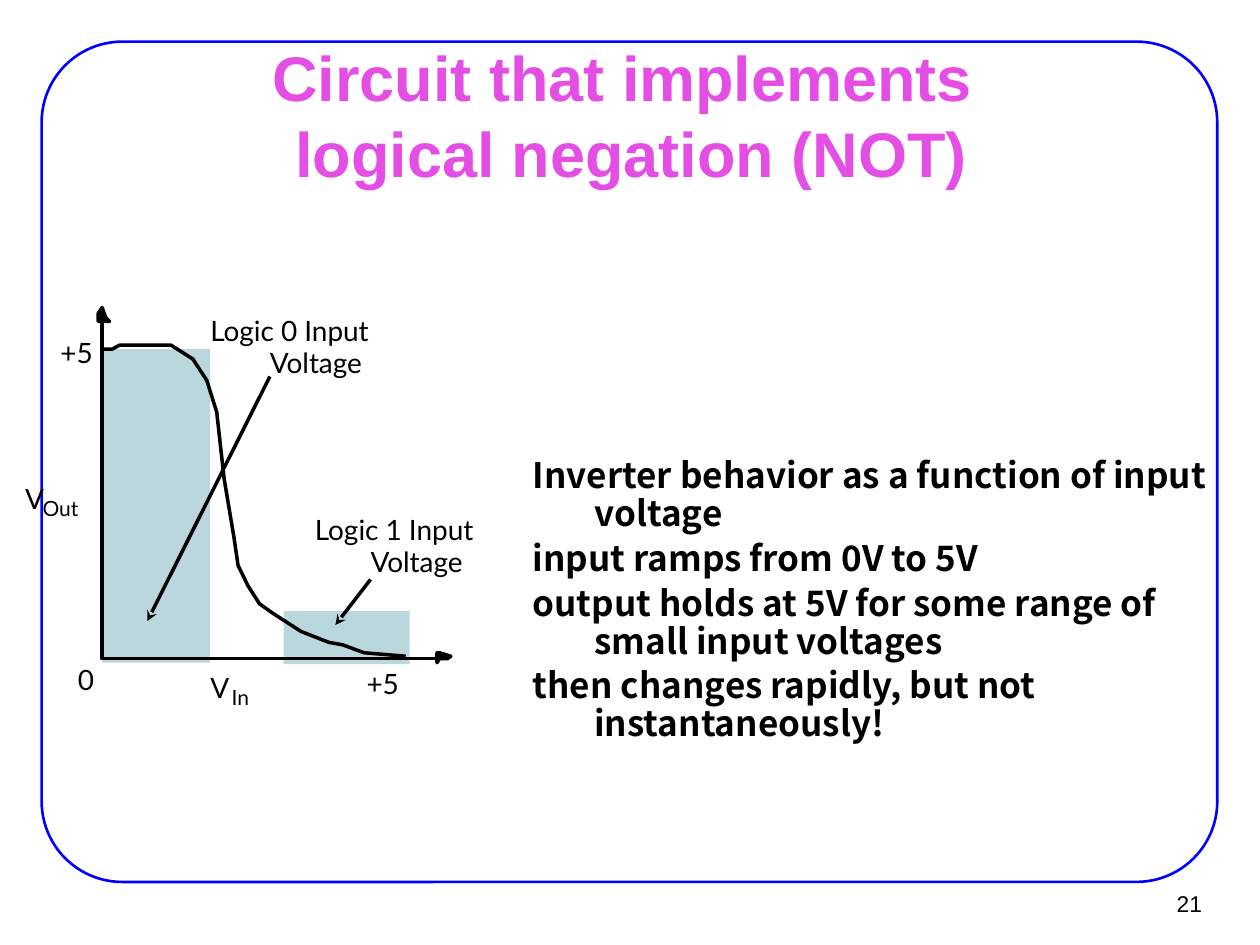
from lxml.etree import SubElement
from pptx import Presentation
from pptx.dml.color import RGBColor
from pptx.enum.shapes import MSO_CONNECTOR, MSO_SHAPE
from pptx.enum.text import MSO_ANCHOR, MSO_AUTO_SIZE, PP_ALIGN
from pptx.oxml.ns import qn
from pptx.util import Cm, Pt

BLACK, BLUE, PINK, TEAL = "000000", "0000FF", "E44EE4", "BAD7DE"
AXIS_LEFT, AXIS_BOTTOM = 2.06, 13.28

TITLE_LINES = ["Circuit that implements ", "logical negation (NOT)"]
BEHAVIOR = [
    "Inverter behavior as a function of input voltage",
    "input ramps from 0V to 5V",
    "output holds at 5V for some range of small input voltages",
    "then changes rapidly, but not instantaneously!",
]

# Lengths below are centimetres.
LOGIC_RANGES = [(5.72, 12.32, 2.54, 1.07), (AXIS_LEFT, 7.04, 2.18, 6.32)]
LABELS = [  # text, left, top, width, size in points
    ("V", 0.51, 9.7, 0.53, 16),
    ("Out", 0.86, 9.98, 0.81, 12),
    ("+5", 1.22, 6.76, 0.81, 16),
    ("0", 1.57, 13.36, 0.48, 16),
    ("+5", 7.39, 13.44, 0.81, 16),
    ("V", 4.24, 13.51, 0.53, 16),
    ("In", 4.67, 13.79, 0.48, 12),
    ("Logic 0 Input", 4.24, 6.32, 3.56, 16),
    ("Voltage", 5.44, 6.96, 2.06, 16),
    ("Logic 1 Input", 6.35, 10.34, 3.4, 16),
    ("Voltage", 7.47, 10.97, 2.06, 16),
]
POINTERS = [(5.44, 7.59, 2.97, 12.52), (7.47, 11.68, 6.76, 12.6)]
AXES = [(8.86, AXIS_BOTTOM), (AXIS_LEFT, AXIS_BOTTOM), (AXIS_LEFT, 6.32)]
TRANSFER_CURVE = [
    (AXIS_LEFT, 7.04), (2.26, 7.04), (2.41, 6.96), (2.62, 6.96), (3.05, 6.96),
    (3.45, 6.96), (3.89, 7.24), (4.17, 7.67), (4.37, 8.31), (4.52, 9.65),
    (4.72, 10.85), (4.8, 11.4), (5, 11.81), (5.23, 12.17), (5.51, 12.37),
    (6.07, 12.73), (6.63, 12.95), (6.91, 13), (7.34, 13.16), (8.18, 13.23),
]
AXIS_HEADS = [
    [(2.06, 6.2), (2.13, 6.4), (2.21, 6.48), (2.13, 6.48), (2.06, 6.48),
     (1.98, 6.48), (1.98, 6.32)],
    [(9.02, 13.28), (8.86, 13.28), (8.81, 13.36), (8.81, 13.28), (8.81, 13.23),
     (8.81, 13.16), (8.86, 13.16), (9.09, 13.23)],
]


def color(value):
    return RGBColor.from_string(value)


def set_line(shape, value, width):
    shape.line.color.rgb = color(value)
    shape.line.width = Pt(width)


def add_run(paragraph, text, font, size, value=BLACK, bold=False):
    run = paragraph.add_run()
    run.text = text
    run.font.name, run.font.size, run.font.bold = font, Pt(size), bold
    run.font.color.rgb = color(value)


def set_margins(frame, horizontal, vertical):
    frame.margin_left = frame.margin_right = Cm(horizontal)
    frame.margin_top = frame.margin_bottom = Cm(vertical)


def add_text_frame(shapes, left, top, width, height, wrap=False):
    frame = shapes.add_textbox(Cm(left), Cm(top), Cm(width), Cm(height)).text_frame
    frame.word_wrap = wrap
    return frame


def add_title(shapes):
    title = shapes.title
    title.left, title.top, title.width, title.height = Cm(1.93), Cm(1.68), Cm(21.59), Cm(1.24)
    frame = title.text_frame
    frame.vertical_anchor = MSO_ANCHOR.MIDDLE
    frame.auto_size = MSO_AUTO_SIZE.NONE
    set_margins(frame, 0.28, 0.15)
    paragraph = frame.paragraphs[0]
    paragraph.alignment = PP_ALIGN.CENTER
    for index, text in enumerate(TITLE_LINES):
        if index:
            paragraph.add_line_break()
        add_run(paragraph, text, "Arial", 36, PINK, True)


def add_behavior(shapes):
    frame = add_text_frame(shapes, 10.49, 9.12, 14.33, 6.25, wrap=True)
    for index, text in enumerate(BEHAVIOR):
        paragraph = frame.add_paragraph() if index else frame.paragraphs[0]
        paragraph.line_spacing = 0.9
        paragraph.space_before = Pt(4)
        properties = paragraph._p.get_or_add_pPr()
        properties.set("marL", str(Cm(1.24)))
        properties.set("indent", str(-Cm(1.24)))
        add_run(paragraph, text, "Noto Sans CJK KR", 20, bold=True)


def add_rectangle(shapes, kind, left, top, width, height):
    shape = shapes.add_shape(kind, Cm(left), Cm(top), Cm(width), Cm(height))
    shape.shadow.inherit = False
    return shape


def add_outline(shapes, points, filled=False):
    start, *others = [(Cm(x), Cm(y)) for x, y in points]
    builder = shapes.build_freeform(*start)
    builder.add_line_segments(others, close=filled)
    shape = builder.convert_to_shape()
    shape.shadow.inherit = False
    if filled:
        shape.fill.solid()
        shape.fill.fore_color.rgb = color(BLACK)
    else:
        shape.fill.background()
    set_line(shape, BLACK, 2)


def add_pointer(shapes, ends):
    pointer = shapes.add_connector(MSO_CONNECTOR.STRAIGHT, *map(Cm, ends))
    set_line(pointer, BLACK, 2)
    SubElement(pointer.line._get_or_add_ln(), qn("a:tailEnd"), type="stealth")
    SubElement(pointer._element.spPr, qn("a:effectLst"))


def main():
    presentation = Presentation()
    presentation.slide_width, presentation.slide_height = Cm(25.4), Cm(19.05)
    shapes = presentation.slides.add_slide(presentation.slide_layouts[5]).shapes

    border = add_rectangle(shapes, MSO_SHAPE.ROUNDED_RECTANGLE, 0.84, 0.84, 23.7, 16.94)
    border.adjustments[0] = 0.096
    border.fill.background()
    set_line(border, BLUE, 1.5)

    number = add_text_frame(shapes, 22.91, 17.75, 1.55, 0.94)
    number.vertical_anchor = MSO_ANCHOR.MIDDLE
    set_margins(number, 0.23, 0.1)
    number.paragraphs[0].alignment = PP_ALIGN.RIGHT
    add_run(number.paragraphs[0], "21", "Arial", 13)

    add_behavior(shapes)
    add_title(shapes)

    for bounds in LOGIC_RANGES:
        logic_range = add_rectangle(shapes, MSO_SHAPE.RECTANGLE, *bounds)
        logic_range.fill.solid()
        logic_range.fill.fore_color.rgb = color(TEAL)
        logic_range.line.fill.background()
    for text, left, top, width, size in LABELS:
        label = add_text_frame(shapes, left, top, width, size * 0.0425)
        label.auto_size = MSO_AUTO_SIZE.SHAPE_TO_FIT_TEXT
        set_margins(label, 0, 0)
        add_run(label.paragraphs[0], text, "Lato", size)
    add_outline(shapes, TRANSFER_CURVE)
    for ends in POINTERS:
        add_pointer(shapes, ends)
    for head in AXIS_HEADS:
        add_outline(shapes, head, filled=True)
    add_outline(shapes, AXES)
    presentation.save("out.pptx")


if __name__ == "__main__":
    main()
